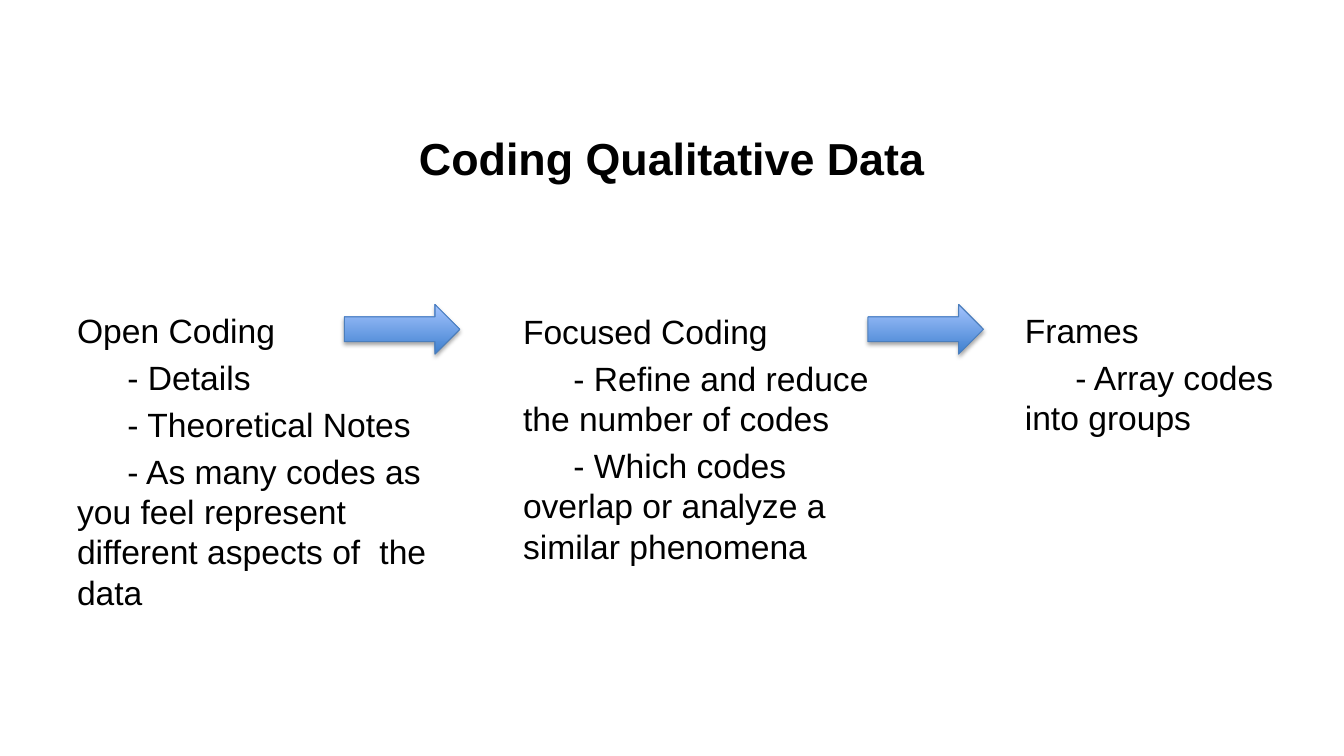
from lxml import etree
from pptx import Presentation
from pptx.dml.color import RGBColor
from pptx.enum.shapes import MSO_SHAPE
from pptx.enum.text import MSO_ANCHOR, PP_ALIGN
from pptx.oxml.ns import qn
from pptx.util import Pt

RIGHT_ARROW = MSO_SHAPE.RIGHT_ARROW
MIDDLE = MSO_ANCHOR.MIDDLE
CENTER = PP_ALIGN.CENTER
BLACK = RGBColor(0x00, 0x00, 0x00)
DEEP_BLUE = RGBColor(0x3F, 0x80, 0xCE)
PALE_BLUE = RGBColor(0xA4, 0xC4, 0xFF)
EDGE_BLUE = RGBColor(0x4B, 0x7E, 0xBC)
FONT = "Arial"

TITLE = "Coding Qualitative Data"
STAGES = [
    {"left": 48, "top": 217.5, "width": 268.5, "name": "Open Coding",
     "notes": ["- Details", "- Theoretical Notes",
               "- As many codes as you feel represent different aspects of \tthe data"]},
    {"left": 366.5, "top": 218.2, "width": 284.5, "name": "Focused Coding",
     "notes": ["- Refine and reduce the number of codes",
               "- Which codes overlap or analyze a similar phenomena"]},
    {"left": 725, "top": 217.5, "width": 235, "name": "Frames",
     "notes": ["- Array codes into groups"]},
]
ARROW_LEFTS = [246, 620]
ARROW_TOP, ARROW_WIDTH, ARROW_HEIGHT = 217.5, 82.5, 35.5
STAGE_HEIGHT = 52.5
NOTE_INDENT = 36


def add_span(para, text, size, bold=False):
    span = para.add_run()
    span.text = text
    span.font.name = FONT
    span.font.size = Pt(size)
    span.font.bold = bold
    span.font.color.rgb = BLACK


def add_stage(slide, stage):
    box = slide.shapes.add_textbox(
        Pt(stage["left"]), Pt(stage["top"]), Pt(stage["width"]), Pt(STAGE_HEIGHT))
    frame = box.text_frame
    frame.word_wrap = True
    frame.margin_right = Pt(9)
    for index, text in enumerate([stage["name"], *stage["notes"]]):
        para = frame.add_paragraph() if index else frame.paragraphs[0]
        para.space_before = Pt(4.8)
        if index:
            para._p.get_or_add_pPr().set("indent", str(Pt(NOTE_INDENT)))
        add_span(para, text, 24)


def add_arrow(slide, left):
    arrow = slide.shapes.add_shape(
        RIGHT_ARROW, Pt(left), Pt(ARROW_TOP), Pt(ARROW_WIDTH), Pt(ARROW_HEIGHT))
    arrow.fill.gradient()
    arrow.fill.gradient_angle = 90
    for stop, color in zip(arrow.fill.gradient_stops, (DEEP_BLUE, PALE_BLUE)):
        stop.color.rgb = color
    arrow.line.color.rgb = EDGE_BLUE
    arrow.line.width = Pt(0.75)
    arrow.shadow.inherit = False
    effects = arrow._element.spPr.find(qn("a:effectLst"))
    shadow = etree.SubElement(
        effects, qn("a:outerShdw"), blurRad=str(Pt(3.1)), dist=str(Pt(1.8)),
        dir="5400000", rotWithShape="0")
    color = etree.SubElement(shadow, qn("a:srgbClr"), val=str(BLACK))
    etree.SubElement(color, qn("a:alpha"), val="35000")


deck = Presentation()
deck.slide_width, deck.slide_height = Pt(960), Pt(540)
page = deck.slides.add_slide(deck.slide_layouts[5])

title = page.shapes.title
title.left, title.top, title.width, title.height = Pt(48), Pt(70.5), Pt(864), Pt(84)
title.text_frame.vertical_anchor = MIDDLE
heading = title.text_frame.paragraphs[0]
heading.alignment = CENTER
add_span(heading, TITLE, 32, bold=True)

for stage in STAGES:
    add_stage(page, stage)
for left in ARROW_LEFTS:
    add_arrow(page, left)

deck.save("out.pptx")
